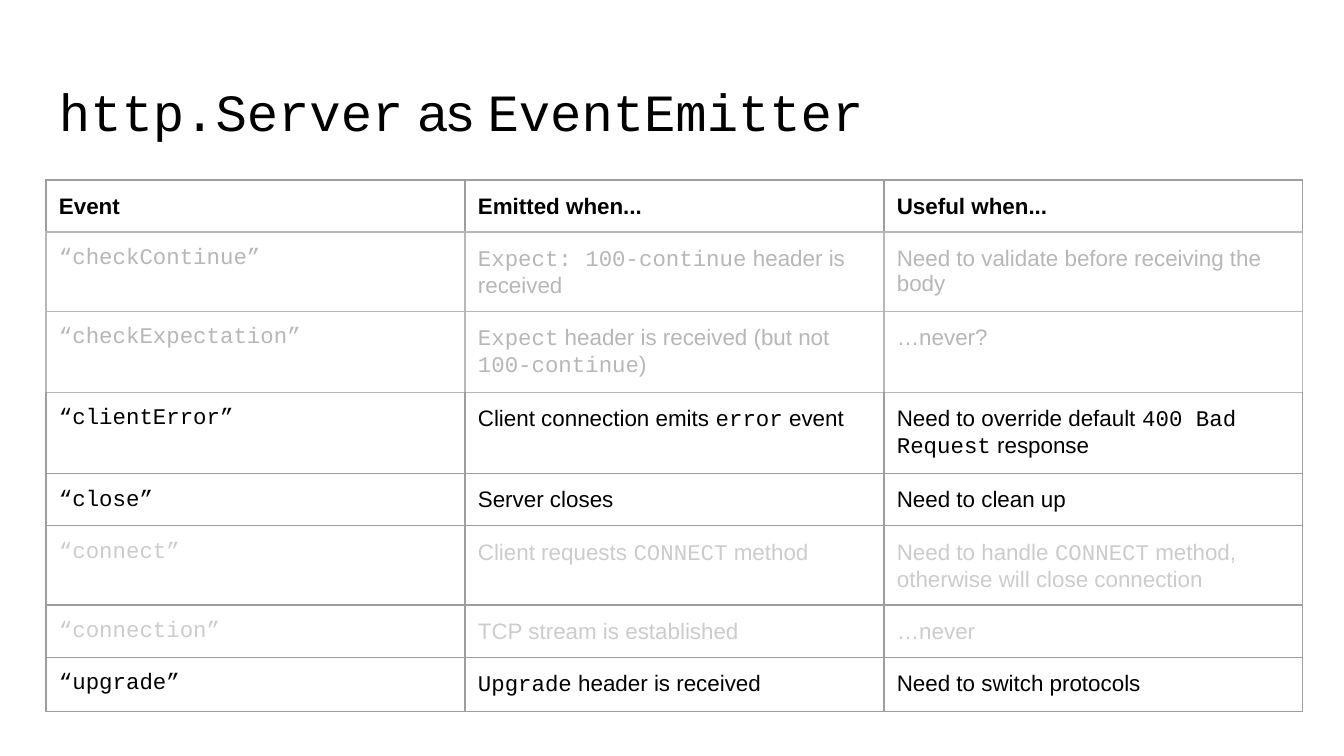
import dataclasses

import lxml.etree
import pptx
import pptx.dml.color
import pptx.enum.text
import pptx.oxml.ns
import pptx.util

EMU_PER_PX = 914400 / 134.4
SLIDE_WIDTH, SLIDE_HEIGHT = 1344, 756
COLORS = {
    "black": "000000",
    "gray": "B7B7B7",
    "pale": "CCCCCC",
    "border": "9E9E9E",
}
PROSE_FONT, CODE_FONT = "Arial", "Courier New"
SHORT_ROW, TALL_ROW = 50, 74
COLUMN_WIDTH = 419
TABLE_LEFT, TABLE_TOP = 46, 180
INSET, CELL_TOP_INSET = 13, 14


@dataclasses.dataclass(frozen=True)
class EventRow:
    """One table row; text between backticks is set as code."""
    cells: tuple[str, str, str]
    height: int = SHORT_ROW
    color: str = "black"
    bold: bool = False
    top: str = "border"
    sides: str = "border"
    bottom: str = "border"


ROWS = [
    EventRow(("Event", "Emitted when...", "Useful when..."), bold=True, bottom="gray"),
    EventRow(("`“checkContinue”`", "`Expect: 100-continue` header is received",
              "Need to validate before receiving the body"),
             TALL_ROW, "gray", top="gray", sides="gray", bottom="gray"),
    EventRow(("`“checkExpectation”`", "`Expect` header is received (but not `100-continue`)",
              "…never?"),
             TALL_ROW, "gray", top="gray", sides="gray", bottom="gray"),
    EventRow(("`“clientError”`", "Client connection emits `error` event",
              "Need to override default `400 Bad Request` response"),
             TALL_ROW, top="gray"),
    EventRow(("`“close”`", "Server closes", "Need to clean up")),
    EventRow(("`“connect”`", "Client requests `CONNECT` method",
              "Need to handle `CONNECT` method, otherwise will close connection"),
             TALL_ROW, "pale"),
    EventRow(("`“connection”`", "TCP stream is established", "…never"), color="pale"),
    EventRow(("`“upgrade”`", "`Upgrade` header is received", "Need to switch protocols")),
]


def px(length: int) -> pptx.util.Emu:
    return pptx.util.Emu(round(length * EMU_PER_PX))


def add_runs(paragraph, text: str, size: int, color: str, bold: bool = False) -> None:
    """Add runs that alternate between prose and code at each backtick."""
    for index, piece in enumerate(text.split("`")):
        if not piece:
            continue
        run = paragraph.add_run()
        run.text = piece
        run.font.name = CODE_FONT if index % 2 else PROSE_FONT
        run.font.size = pptx.util.Pt(size)
        run.font.bold = bold
        run.font.color.rgb = pptx.dml.color.RGBColor.from_string(COLORS[color])


def set_borders(cell, row: EventRow) -> None:
    properties = cell._tc.get_or_add_tcPr()
    edges = {"lnL": row.sides, "lnR": row.sides, "lnT": row.top, "lnB": row.bottom}
    qualified = pptx.oxml.ns.qn
    for position, (tag, color) in enumerate(edges.items()):
        line = lxml.etree.Element(qualified(f"a:{tag}"), w=str(pptx.util.Pt(0.75)))
        fill = lxml.etree.SubElement(line, qualified("a:solidFill"))
        lxml.etree.SubElement(fill, qualified("a:srgbClr"), val=COLORS[color])
        properties.insert(position, line)


def add_title(slide, text: str) -> None:
    title = slide.shapes.title
    title.left, title.top, title.width, title.height = px(46), px(66), px(1253), px(85)
    frame = title.text_frame
    frame.auto_size = pptx.enum.text.MSO_AUTO_SIZE.NONE
    frame.vertical_anchor = pptx.enum.text.MSO_ANCHOR.TOP
    frame.margin_left = frame.margin_right = frame.margin_top = frame.margin_bottom = px(INSET)
    paragraph = frame.paragraphs[0]
    paragraph.alignment = pptx.enum.text.PP_ALIGN.LEFT
    add_runs(paragraph, text, 28, "black")


def add_event_table(slide, rows: list[EventRow]) -> None:
    column_count = len(rows[0].cells)
    table = slide.shapes.add_table(
        len(rows), column_count, px(TABLE_LEFT), px(TABLE_TOP),
        px(COLUMN_WIDTH * column_count), px(sum(row.height for row in rows))).table
    table.first_row = table.horz_banding = False
    for column in table.columns:
        column.width = px(COLUMN_WIDTH)
    for row_index, row in enumerate(rows):
        table.rows[row_index].height = px(row.height)
        for column_index, text in enumerate(row.cells):
            cell = table.cell(row_index, column_index)
            cell.fill.background()
            cell.margin_left = cell.margin_right = cell.margin_bottom = px(INSET)
            cell.margin_top = px(CELL_TOP_INSET)
            add_runs(cell.text_frame.paragraphs[0], text, 12, row.color, row.bold)
            set_borders(cell, row)


def main() -> None:
    presentation = pptx.Presentation()
    presentation.slide_width = px(SLIDE_WIDTH)
    presentation.slide_height = px(SLIDE_HEIGHT)
    title_only = presentation.slide_layouts[5]
    slide = presentation.slides.add_slide(title_only)
    add_title(slide, "`http.Server` as `EventEmitter`")
    add_event_table(slide, ROWS)
    presentation.save("out.pptx")


if __name__ == "__main__":
    main()
